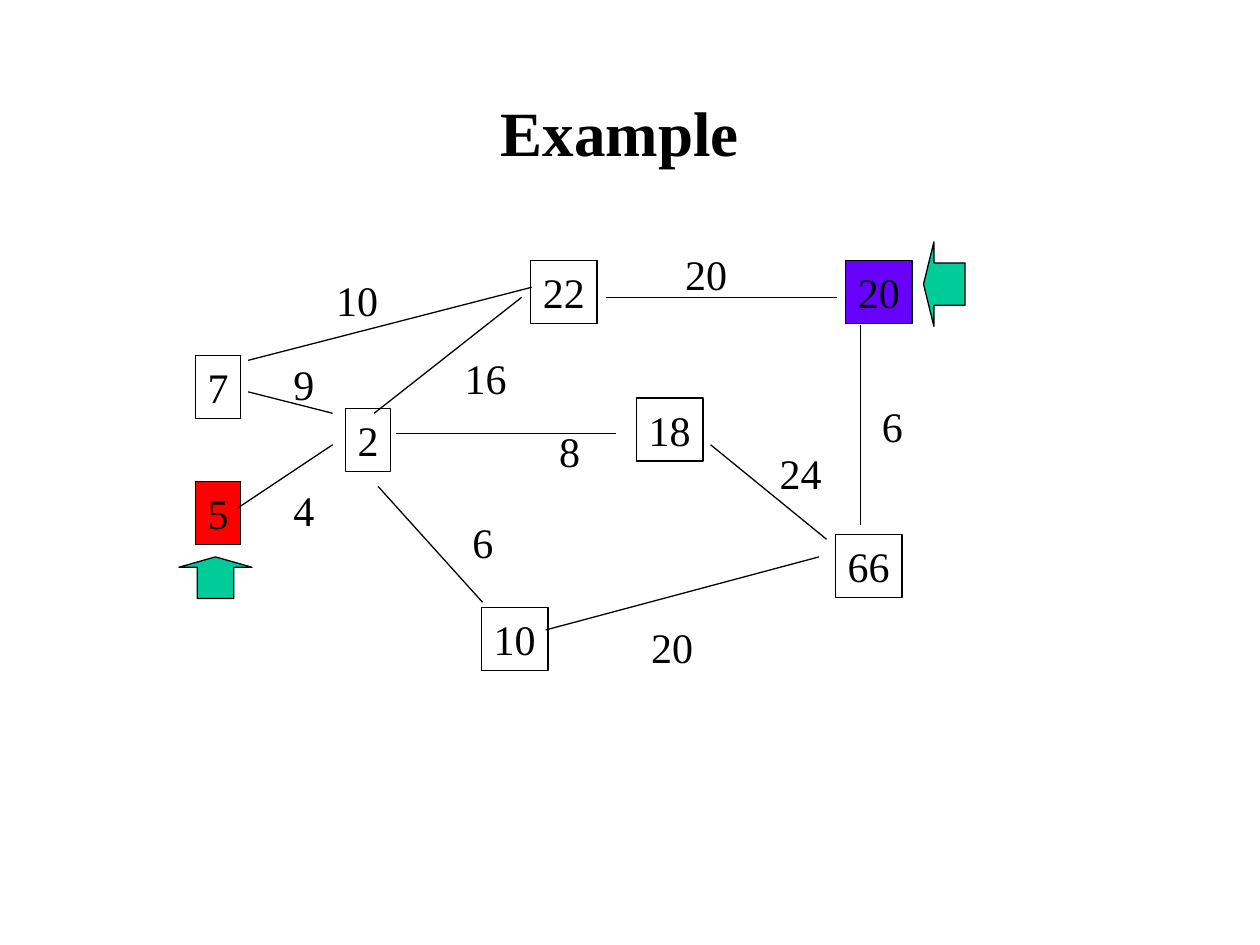
from dataclasses import dataclass

from lxml.etree import SubElement
from pptx import Presentation
from pptx.dml.color import RGBColor
from pptx.enum.shapes import MSO_CONNECTOR, MSO_SHAPE
from pptx.enum.text import MSO_ANCHOR, MSO_AUTO_SIZE, PP_ALIGN
from pptx.oxml.ns import qn
from pptx.util import Inches, Pt


@dataclass(frozen=True)
class Theme:
    """Colours, font and sizes of the slide."""
    font: str = "Times New Roman"
    ink: RGBColor = RGBColor(0x00, 0x00, 0x00)
    paper: RGBColor = RGBColor(0xFF, 0xFF, 0xFF)
    start: RGBColor = RGBColor(0xFF, 0x00, 0x00)
    goal: RGBColor = RGBColor(0x66, 0x00, 0xFF)
    pointer: RGBColor = RGBColor(0x00, 0xCC, 0x99)
    title_size: Pt = Pt(36)
    number_size: Pt = Pt(24)
    line_width: Pt = Pt(0.75)


@dataclass(frozen=True)
class Box:
    """A region of the slide, in inches."""
    left: float
    top: float
    width: float
    height: float

    def inner(self, left, top, width, height):
        """Return a box placed relative to this one."""
        return Box(self.left + left, self.top + top, width, height)

    def lengths(self):
        """Return left, top, width and height as lengths."""
        return [Inches(side) for side in (self.left, self.top, self.width, self.height)]


THEME = Theme()
TITLE_BOX = Box(0.67, 0.42, 8.5, 1.25)
GRAPH_BOX = Box(1.4, 1.9, 6.3, 3.5)
NUMBER_HEIGHT = 0.5

NODES = [
    ("5", 0.15, 1.92, THEME.start),
    ("2", 1.34, 1.34, None),
    ("7", 0.15, 0.92, None),
    ("10", 2.42, 2.92, None),
    ("18", 3.65, 1.26, None),
    ("22", 2.81, 0.17, None),
    ("66", 5.23, 2.34, None),
    ("20", 5.31, 0.17, THEME.goal),
]

EDGES = [
    ("4", (0.83, 1.9), (0.49, 2.13), (1.24, 1.63)),
    ("9", (0.83, 0.9), (0.57, 1.21), (1.24, 1.38)),
    ("6", (2.25, 2.15), (1.6, 1.96), (2.43, 2.88)),
    ("8", (2.94, 1.43), (1.74, 1.54), (3.49, 1.54)),
    ("16", (2.19, 0.85), (1.57, 1.38), (2.74, 0.46)),
    ("10", (1.17, 0.23), (0.57, 0.96), (2.82, 0.38)),
    ("20", (3.67, 2.98), (2.93, 3.1), (5.1, 2.52)),
    ("24", (4.69, 1.6), (4.24, 1.63), (5.16, 2.38)),
    ("20", (3.94, 0.02), (3.41, 0.46), (5.24, 0.46)),
    ("6", (5.5, 1.23), (5.43, 2.27), (5.43, 0.68)),
]

POINTERS = [
    (MSO_SHAPE.UP_ARROW, (0.02, 2.52, 0.58, 0.33)),
    (MSO_SHAPE.LEFT_ARROW, (5.93, 0.02, 0.33, 0.67)),
]


def add_span(para, text, size, bold=False):
    """Add one formatted run to a paragraph."""
    span = para.add_run()
    span.text = text
    span.font.name = THEME.font
    span.font.size = size
    span.font.bold = bold
    span.font.color.rgb = THEME.ink


def number_box(box, number, left, top):
    """Return a box as wide as the digits of a number need."""
    return box.inner(left, top, 0.19 + 0.17 * len(number), NUMBER_HEIGHT)


def write_number(shape, number):
    """Write a number into a shape that fits its text."""
    frame = shape.text_frame
    frame.word_wrap = False
    frame.auto_size = MSO_AUTO_SIZE.SHAPE_TO_FIT_TEXT
    frame.vertical_anchor = MSO_ANCHOR.TOP
    para = frame.paragraphs[0]
    para.alignment = PP_ALIGN.LEFT
    add_span(para, number, THEME.number_size)


def add_outlined(page, kind, box, fill):
    """Add a thinly outlined preset shape, hollow when there is no fill."""
    shape = page.shapes.add_shape(kind, *box.lengths())
    shape.shadow.inherit = False
    if fill is None:
        shape.fill.background()
    else:
        shape.fill.solid()
        shape.fill.fore_color.rgb = fill
    shape.line.color.rgb = THEME.ink
    shape.line.width = THEME.line_width
    return shape


def add_edge(page, box, start, end):
    """Draw a line between two points of the box."""
    ends = [Inches(origin + offset) for point in (start, end)
            for origin, offset in zip((box.left, box.top), point)]
    edge = page.shapes.add_connector(MSO_CONNECTOR.STRAIGHT, *ends)
    edge.line.color.rgb = THEME.ink
    edge.line.width = THEME.line_width
    SubElement(edge._element.spPr, qn("a:effectLst"))


def add_title(page, box, text):
    """Place and fill the title placeholder."""
    title = page.shapes.title
    title.left, title.top, title.width, title.height = box.lengths()
    title.text_frame.vertical_anchor = MSO_ANCHOR.MIDDLE
    para = title.text_frame.paragraphs[0]
    para.alignment = PP_ALIGN.CENTER
    add_span(para, text, THEME.title_size, bold=True)


def add_graph(page, box):
    """Draw the weighted graph with its start and goal pointers."""
    for number, left, top, fill in NODES:
        node = add_outlined(page, MSO_SHAPE.RECTANGLE, number_box(box, number, left, top), fill)
        write_number(node, number)
    for weight, place, start, end in EDGES:
        add_edge(page, box, start, end)
        label = page.shapes.add_textbox(*number_box(box, weight, *place).lengths())
        write_number(label, weight)
    for kind, place in POINTERS:
        pointer = add_outlined(page, kind, box.inner(*place), THEME.pointer)
        pointer.adjustments[0] = 0.5
        pointer.adjustments[1] = 0.25


def main():
    """Build and save the deck."""
    deck = Presentation()
    deck.slide_width, deck.slide_height = Inches(10), Inches(7.5)
    page = deck.slides.add_slide(deck.slide_layouts[5])
    page.background.fill.solid()
    page.background.fill.fore_color.rgb = THEME.paper
    add_title(page, TITLE_BOX, "Example")
    add_graph(page, GRAPH_BOX)
    deck.save("out.pptx")


if __name__ == "__main__":
    main()
